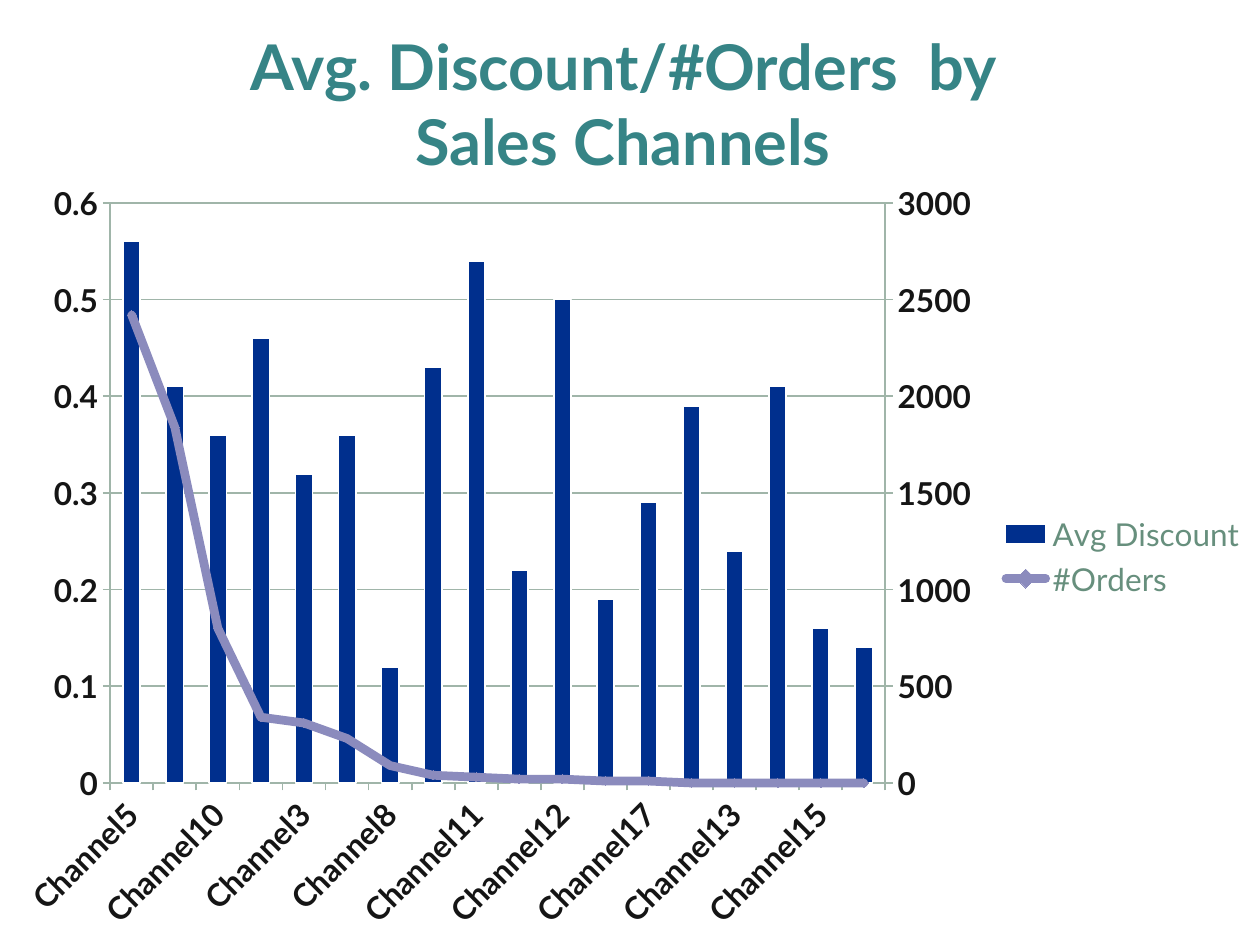
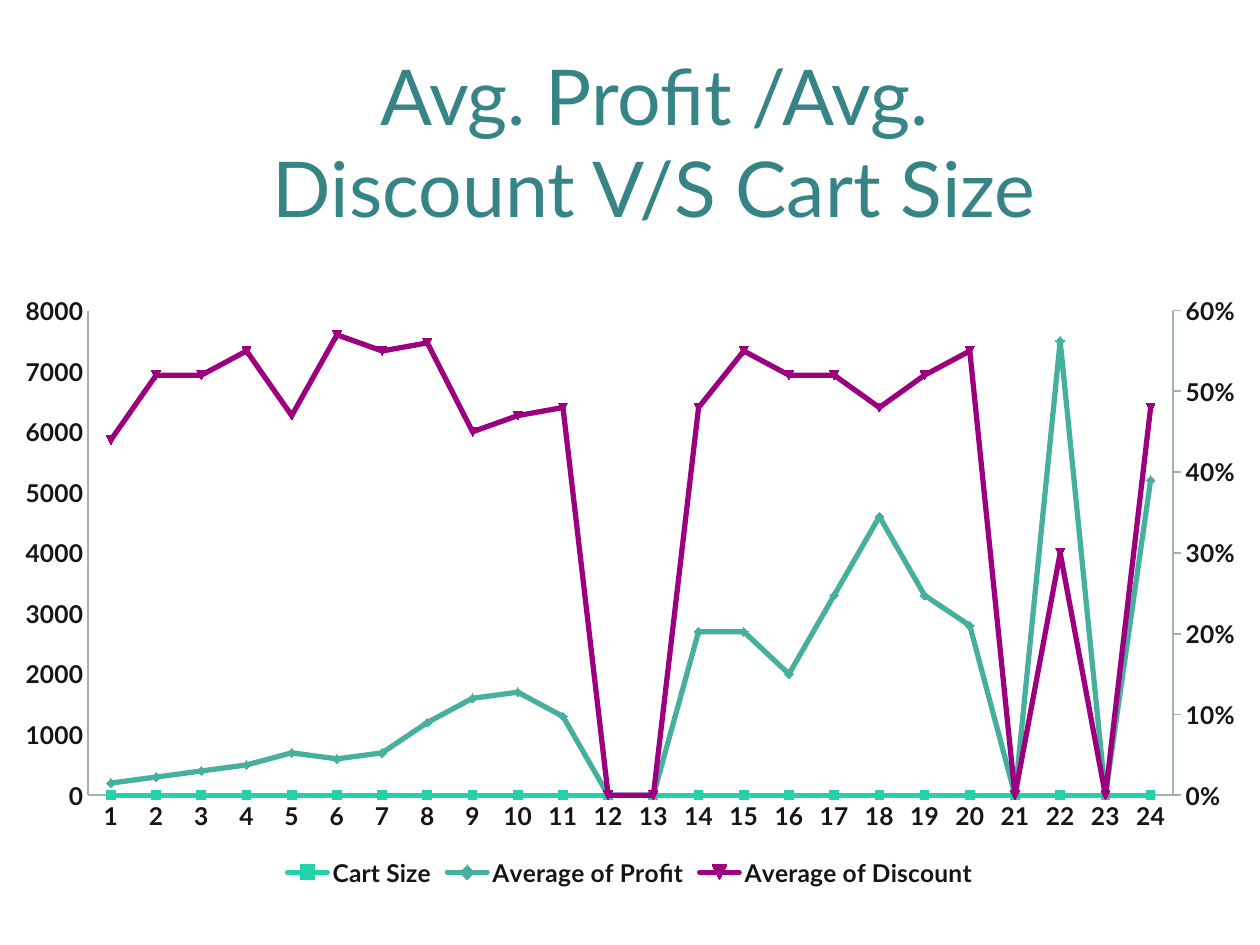
import copy

import pptx
import pptx.chart.axis
import pptx.chart.data
import pptx.dml.color
import pptx.enum.chart
import pptx.enum.text
import pptx.oxml
import pptx.oxml.ns
import pptx.util

Pt = pptx.util.Pt
ChartType = pptx.enum.chart.XL_CHART_TYPE
TickMark = pptx.enum.chart.XL_TICK_MARK
LegendPosition = pptx.enum.chart.XL_LEGEND_POSITION

FONT = "Lato"
COLORS = {
    "title": "368486",
    "label": "151515",
    "legend": "678F7D",
    "axis": "A0B5A9",
    "navy": "002F8D",
    "lavender": "8B8BBD",
    "mint": "25D1A8",
    "teal": "47AF9E",
    "plum": "9C007F",
    "white": "FFFFFF",
}


class Deck:
    def __init__(self):
        self.prs = pptx.Presentation()
        self.prs.slide_width, self.prs.slide_height = Pt(720), Pt(540)
        self.slide = None

    def color(self, name):
        return pptx.dml.color.RGBColor.from_string(COLORS[name])

    def new_slide(self):
        self.slide = self.prs.slides.add_slide(self.prs.slide_layouts[6])

    def style_font(self, font, size, color, bold=False):
        font.name, font.size, font.bold = FONT, Pt(size), bold
        font.color.rgb = self.color(color)

    def style_line(self, line, color, width):
        line.color.rgb = self.color(color)
        line.width = Pt(width)

    def title(self, text, box, size, bold=False):
        frame = self.slide.shapes.add_textbox(*map(Pt, box)).text_frame
        frame.word_wrap = True
        frame.vertical_anchor = pptx.enum.text.MSO_ANCHOR.TOP
        paragraph = frame.paragraphs[0]
        paragraph.alignment = pptx.enum.text.PP_ALIGN.CENTER
        run = paragraph.add_run()
        run.text = text
        self.style_font(run.font, size, "title", bold)

    def chart(self, kind, box, categories, series, size, plot_box):
        data = pptx.chart.data.CategoryChartData()
        data.categories = categories
        for name, values in series:
            data.add_series(name, values)
        chart = self.slide.shapes.add_chart(kind, *map(Pt, box), data).chart
        chart.has_title = False
        self.style_font(chart.font, size, "label", True)
        self.place_plot(chart, plot_box, box[2:])
        return chart

    def place_plot(self, chart, plot_box, chart_size):
        area = chart.element.xpath(".//c:plotArea")[0]
        for layout in area.xpath("c:layout"):
            area.remove(layout)
        edges = "".join(
            f'<c:{side} val="{length / whole}"/>'
            for side, length, whole in zip("xywh", plot_box, chart_size * 2)
        )
        area.insert(0, pptx.oxml.parse_xml(
            f'<c:layout {pptx.oxml.ns.nsdecls("c")}><c:manualLayout>'
            '<c:layoutTarget val="inner"/><c:xMode val="edge"/><c:yMode val="edge"/>'
            f"{edges}</c:manualLayout></c:layout>"
        ))

    def axis(self, axis, size, ticks, line_width):
        axis.major_tick_mark = ticks
        axis.minor_tick_mark = TickMark.NONE
        self.style_line(axis.format.line, "axis", line_width)
        self.style_font(axis.tick_labels.font, size, "label", True)

    def scale(self, axis, top, step, number_format="General", grid=False):
        axis.minimum_scale, axis.maximum_scale, axis.major_unit = 0, top, step
        axis.tick_labels.number_format = number_format
        axis.tick_labels.number_format_is_linked = False
        axis.has_major_gridlines = grid
        if grid:
            self.style_line(axis.major_gridlines.format.line, "axis", 1)

    def last_series_to_right_axis(self, chart):
        area = chart.element.xpath(".//c:plotArea")[0]
        plot = area.xpath("*[c:ser]")[0]
        moved = plot.xpath("c:ser")[-1]
        for flag in moved.xpath("c:invertIfNegative"):
            moved.remove(flag)
        line_plot = pptx.oxml.parse_xml(
            f'<c:lineChart {pptx.oxml.ns.nsdecls("c")}><c:grouping val="standard"/>'
            '<c:varyColors val="0"/><c:marker val="1"/>'
            '<c:axId val="5001"/><c:axId val="5002"/></c:lineChart>'
        )
        line_plot.insert(2, moved)
        plot.addnext(line_plot)

        category_axis, left = area.xpath("c:catAx")[0], area.xpath("c:valAx")[0]
        hidden, right = copy.deepcopy(category_axis), copy.deepcopy(left)
        left.addnext(right)
        right.addnext(hidden)
        settings = [
            (hidden, {"axId": "5001", "crossAx": "5002", "delete": "1"}),
            (right, {"axId": "5002", "crossAx": "5001", "axPos": "r", "crosses": "max"}),
        ]
        for element, values in settings:
            for tag, value in values.items():
                element.xpath(f"c:{tag}")[0].set("val", value)
        return [pptx.chart.axis.ValueAxis(element) for element in (left, right)]

    def slant_categories(self, chart, skip):
        axis = chart.element.xpath(".//c:catAx")[0]
        axis.xpath("c:txPr/a:bodyPr")[0].set("rot", "-2700000")
        axis.xpath("c:noMultiLvlLbl")[0].addprevious(pptx.oxml.parse_xml(
            f'<c:tickLblSkip {pptx.oxml.ns.nsdecls("c")} val="{skip}"/>'
        ))

    def line_series(self, series, color, width, marker_size):
        series.smooth = False
        self.style_line(series.format.line, color, width)
        series.marker.size = marker_size
        marker = series.marker.format
        marker.fill.solid()
        marker.fill.fore_color.rgb = self.color(color)
        marker.line.color.rgb = self.color(color)

    def round_line_ends(self, chart):
        for line in chart.element.xpath(".//c:lineChart/c:ser/c:spPr/a:ln"):
            line.set("cap", "rnd")

    def bar_series(self, series, color):
        series.format.fill.solid()
        series.format.fill.fore_color.rgb = self.color(color)
        self.style_line(series.format.line, "white", 1)

    def legend(self, chart, position, size, color, bold=False):
        chart.has_legend = True
        chart.legend.position = position
        chart.legend.include_in_layout = False
        self.style_font(chart.legend.font, size, color, bold)


def sales_channels(deck):
    deck.new_slide()
    order = [5, 1, 10, 6, 3, 2, 8, 4, 11, 7, 12, 14, 17, 9, 13, 16, 15, 18]
    discount = [0.56, 0.41, 0.36, 0.46, 0.32, 0.36, 0.12, 0.43, 0.54,
                0.22, 0.5, 0.19, 0.29, 0.39, 0.24, 0.41, 0.16, 0.14]
    orders = [2420, 1840, 800, 340, 310, 230, 90, 40, 30,
              20, 20, 10, 10, 0, 0, 0, 0, 0]
    chart = deck.chart(
        ChartType.COLUMN_CLUSTERED, (0, 96, 720, 444),
        [f"Channel{number}" for number in order],
        [("Avg Discount", discount), ("#Orders", orders)],
        18, (63, 20, 443, 331.5),
    )
    discount_axis, orders_axis = deck.last_series_to_right_axis(chart)
    for axis in (chart.category_axis, discount_axis, orders_axis):
        deck.axis(axis, 18, TickMark.OUTSIDE, 1)
    deck.scale(discount_axis, 0.6, 0.1, grid=True)
    deck.scale(orders_axis, 3000, 500)
    deck.slant_categories(chart, 2)
    bars, line = chart.plots
    bars.gap_width = 150
    bars.vary_by_categories = False
    deck.bar_series(bars.series[0], "navy")
    deck.line_series(line.series[0], "lavender", 5, 5)
    deck.round_line_ends(chart)
    deck.legend(chart, LegendPosition.RIGHT, 18, "legend")
    deck.title("Avg. Discount/#Orders  by Sales Channels", (102, 12, 508, 72), 36, True)


def cart_size(deck):
    deck.new_slide()
    deck.title("Avg. Profit /Avg. Discount V/S Cart Size", (120, 24, 508, 104), 44)
    profit = [200, 300, 400, 500, 700, 600, 700, 1200, 1600, 1700, 1300, 0,
              0, 2700, 2700, 2000, 3300, 4600, 3300, 2800, 0, 7500, 0, 5200]
    discount = [0.44, 0.52, 0.52, 0.55, 0.47, 0.57, 0.55, 0.56, 0.45, 0.47, 0.48, 0,
                0, 0.48, 0.55, 0.52, 0.52, 0.48, 0.52, 0.55, 0, 0.3, 0, 0.48]
    chart = deck.chart(
        ChartType.LINE_MARKERS, (0, 162, 720, 348),
        [str(size) for size in range(1, 25)],
        [("Cart Size", [0] * 24), ("Average of Profit", profit),
         ("Average of Discount", discount)],
        14, (50.5, 15.5, 620, 277),
    )
    profit_axis, discount_axis = deck.last_series_to_right_axis(chart)
    deck.axis(chart.category_axis, 14, TickMark.NONE, 1)
    deck.axis(profit_axis, 14, TickMark.NONE, 1)
    deck.axis(discount_axis, 14, TickMark.OUTSIDE, 1)
    deck.scale(profit_axis, 8000, 1000)
    deck.scale(discount_axis, 0.6, 0.1, "0%")
    lines = [series for plot in chart.plots for series in plot.series]
    for series, color in zip(lines, ("mint", "teal", "plum")):
        deck.line_series(series, color, 3, 5)
    deck.round_line_ends(chart)
    deck.legend(chart, LegendPosition.BOTTOM, 14, "label", True)


def main():
    deck = Deck()
    sales_channels(deck)
    cart_size(deck)
    deck.prs.save("out.pptx")


if __name__ == "__main__":
    main()
